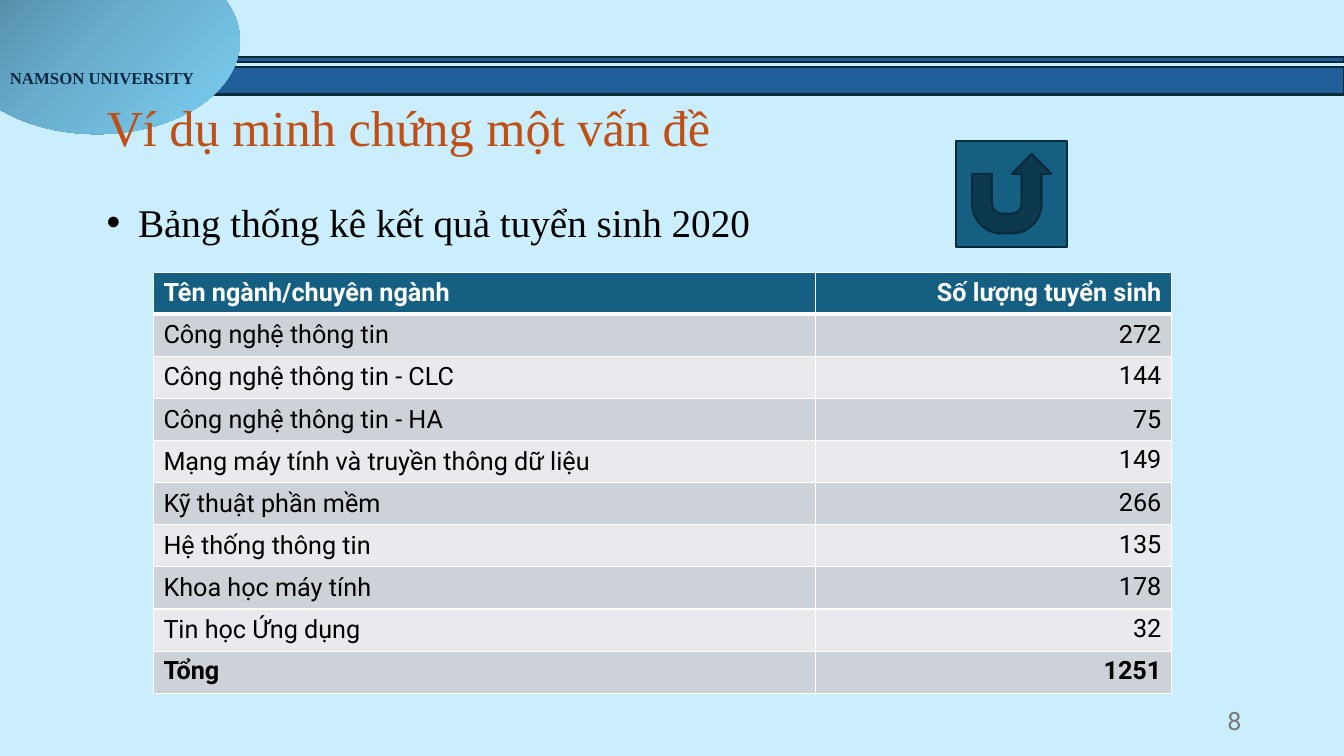
"""Build the slide with the 2020 admission results table."""
import copy

import pptx
import pptx.dml.color
import pptx.enum.shapes
import pptx.enum.text
import pptx.oxml
import pptx.oxml.ns
import pptx.util

Pt = pptx.util.Pt
RGB = pptx.dml.color.RGBColor
SHAPE = pptx.enum.shapes.MSO_SHAPE
ANCHOR = pptx.enum.text.MSO_ANCHOR
ALIGN = pptx.enum.text.PP_ALIGN
GROW = pptx.enum.text.MSO_AUTO_SIZE.SHAPE_TO_FIT_TEXT

SKY = RGB(0xCA, 0xEE, 0xFB)
BAR_BLUE = RGB(0x21, 0x5F, 0x9A)
OUTLINE = RGB(0x09, 0x2A, 0x39)
TEAL = RGB(0x15, 0x60, 0x82)
NAVY = RGB(0x0E, 0x28, 0x41)
ORANGE = RGB(0xC0, 0x4F, 0x15)
GREY = RGB(0x79, 0x79, 0x79)
BLACK = RGB(0, 0, 0)
WHITE = RGB(0xFF, 0xFF, 0xFF)
BANDS = (RGB(0xE8, 0xEA, 0xED), RGB(0xCC, 0xD2, 0xD8))
OVAL_STOPS = (
    (0, RGB(0x49, 0x7A, 0x90)),
    (0.5, RGB(0x68, 0xAD, 0xCD)),
    (1, RGB(0x7C, 0xCE, 0xF3)),
)

SERIF, SANS = "Times New Roman", "Roboto"
SCHOOL_FONT = {"name": SERIF, "size": Pt(12), "bold": True}
TITLE_FONT = {"name": SERIF, "size": Pt(36), "bold": False}
BULLET_FONT = {"name": SERIF, "size": Pt(28), "bold": False}
BODY_FONT = {"name": SANS, "size": Pt(18), "bold": False}
STRONG_FONT = BODY_FONT | {"bold": True}

ADMISSIONS = (
    ("Tên ngành/chuyên ngành", "Số lượng tuyển sinh"),
    ("Công nghệ thông tin", "272"),
    ("Công nghệ thông tin - CLC", "144"),
    ("Công nghệ thông tin - HA", "75"),
    ("Mạng máy tính và truyền thông dữ liệu", "149"),
    ("Kỹ thuật phần mềm", "266"),
    ("Hệ thống thông tin", "135"),
    ("Khoa học máy tính", "178"),
    ("Tin học Ứng dụng", "32"),
    ("Tổng", "1251"),
)
TOTAL_ROW = len(ADMISSIONS) - 1
MIDDLE_COUNT_ROWS = (0, 1, 3)


def apply_format(target, values):
    for name, value in values.items():
        setattr(target, name, value)


def write(paragraph, text, font, color, align=ALIGN.LEFT):
    paragraph.alignment = align
    run = paragraph.add_run()
    run.text = text
    apply_format(run.font, font)
    run.font.color.rgb = color


def add_text(slide, box, text, font, color, align=ALIGN.LEFT, **frame_format):
    frame = slide.shapes.add_textbox(*map(Pt, box)).text_frame
    apply_format(frame, {"word_wrap": True} | frame_format)
    write(frame.paragraphs[0], text, font, color, align)
    return frame.paragraphs[0]


def add_outlined(slide, preset, box, color):
    shape = slide.shapes.add_shape(preset, *map(Pt, box))
    shape.shadow.inherit = False
    shape.fill.solid()
    shape.fill.fore_color.rgb = color
    shape.line.color.rgb = OUTLINE
    shape.line.width = Pt(1.5)


def add_banner(slide, box):
    left, top, width, height = box
    for offset, thickness in ((41, 3.6), (48.2, 19.4)):
        add_outlined(slide, SHAPE.RECTANGLE, (left, top + offset, width, thickness), BAR_BLUE)
    oval_box = (left - 33.1, top - 37.4, 204.5, 133.2)
    oval = slide.shapes.add_shape(SHAPE.OVAL, *map(Pt, oval_box))
    oval.shadow.inherit = False
    oval.line.fill.background()
    oval.fill.gradient()
    oval.fill.gradient_angle = 315
    first_stop = oval.element.find(".//" + pptx.oxml.ns.qn("a:gs"))
    first_stop.addnext(copy.deepcopy(first_stop))
    for stop, (position, color) in zip(oval.fill.gradient_stops, OVAL_STOPS):
        stop.position = position
        stop.color.rgb = color
    add_text(slide, (left, top + 44.6, 282, 21.6), "NAMSON UNIVERSITY",
             SCHOOL_FONT, NAVY, auto_size=GROW)


def add_heading(slide, box):
    left, top, width, height = box
    add_text(slide, (left, top, width - 21, 51), "Ví dụ minh chứng một vấn đề",
             TITLE_FONT, ORANGE, auto_size=GROW)
    bullet = add_text(slide, (left, top + 73.4, width, height - 73.4),
                      "Bảng thống kê kết quả tuyển sinh 2020",
                      BULLET_FONT, BLACK, auto_size=GROW)
    properties = bullet._p.get_or_add_pPr()
    properties.set("marL", str(Pt(22.5)))
    properties.set("indent", str(-Pt(22.5)))
    for tag, name, value in (("buFont", "typeface", "Arial"), ("buChar", "char", "•")):
        mark = pptx.oxml.parse_xml(f'<a:{tag} {pptx.oxml.ns.nsdecls("a")} {name}="{value}"/>')
        properties.append(mark)


def set_borders(cell, widths):
    properties = cell._tc.get_or_add_tcPr()
    for index, (side, width) in enumerate(widths.items()):
        properties.insert(index, pptx.oxml.parse_xml(
            f'<a:{side} {pptx.oxml.ns.nsdecls("a")} w="{Pt(width)}">'
            f'<a:solidFill><a:srgbClr val="{WHITE}"/></a:solidFill></a:{side}>'))


def add_admissions(slide, box):
    width, height = box[2:]
    table = slide.shapes.add_table(len(ADMISSIONS), 2, *map(Pt, box)).table
    for column, share in zip(table.columns, (0.65, 0.35)):
        column.width = Pt(width * share)
    for row_index, labels in enumerate(ADMISSIONS):
        table.rows[row_index].height = Pt(height / len(ADMISSIONS))
        header = row_index == 0
        font = STRONG_FONT if row_index in (0, TOTAL_ROW) else BODY_FONT
        for column_index, label in enumerate(labels):
            cell = table.cell(row_index, column_index)
            is_count = column_index == 1
            middle = row_index in MIDDLE_COUNT_ROWS if is_count else row_index != TOTAL_ROW
            cell.vertical_anchor = ANCHOR.MIDDLE if middle else ANCHOR.TOP
            write(cell.text_frame.paragraphs[0], label, font,
                  WHITE if header else BLACK, ALIGN.RIGHT if is_count else ALIGN.LEFT)
            cell.fill.solid()
            cell.fill.fore_color.rgb = TEAL if header else BANDS[row_index % 2]
            set_borders(cell, {"lnL": 1, "lnR": 1, "lnT": 3 if row_index == 1 else 1,
                               "lnB": 3 if header else 1})


def main():
    deck = pptx.Presentation()
    deck.slide_width, deck.slide_height = Pt(960), Pt(540)
    slide = deck.slides.add_slide(deck.slide_layouts[6])
    slide.background.fill.solid()
    slide.background.fill.fore_color.rgb = SKY
    add_banner(slide, (0, 0, 960, 96))
    add_text(slide, (678, 500.5, 216, 28.8), "8", BODY_FONT, GREY, ALIGN.RIGHT,
             vertical_anchor=ANCHOR.MIDDLE)
    add_heading(slide, (69, 64.8, 635, 114.4))
    add_admissions(slide, (109.6, 194.4, 727.2, 301))
    add_outlined(slide, SHAPE.ACTION_BUTTON_RETURN, (683, 100.6, 79.4, 75.6), TEAL)
    deck.save("out.pptx")


if __name__ == "__main__":
    main()
